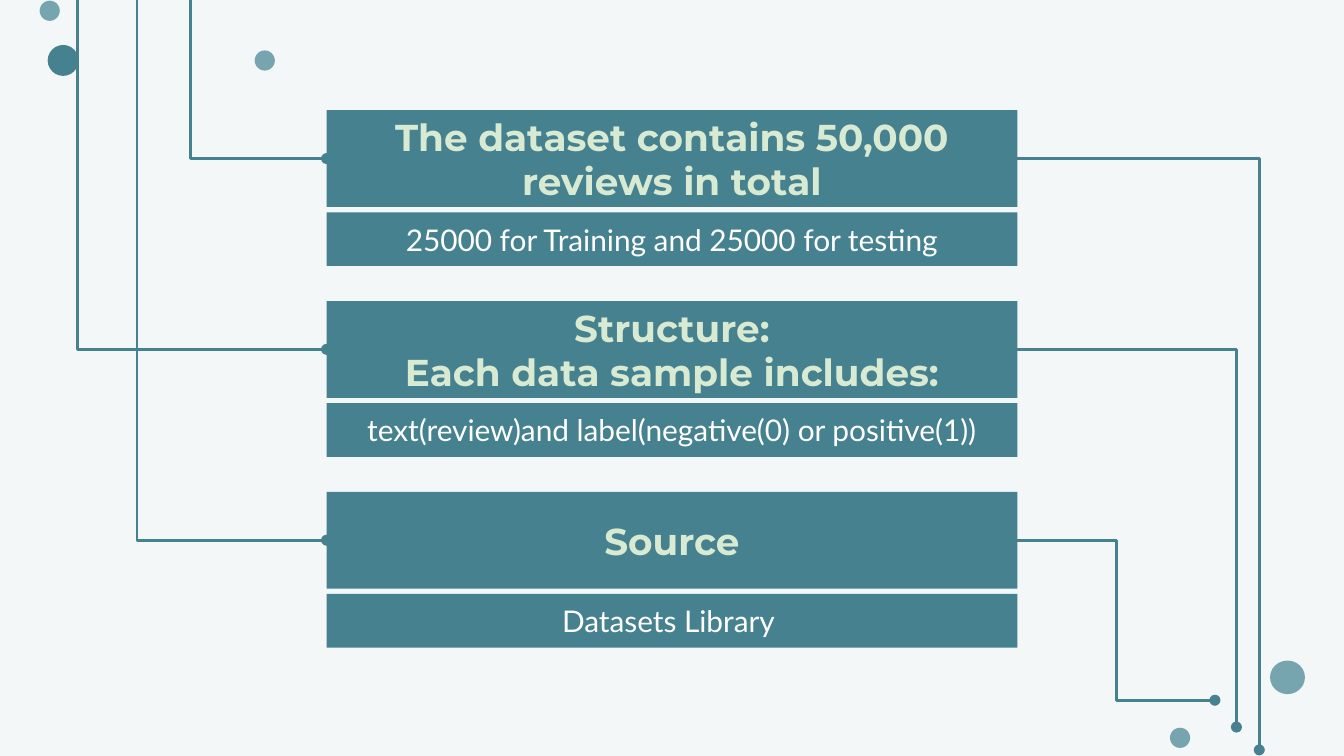
from lxml.etree import SubElement
from pptx import Presentation
from pptx.dml.color import RGBColor
from pptx.enum.shapes import MSO_CONNECTOR as Connector, MSO_SHAPE as Shape
from pptx.enum.text import MSO_ANCHOR as Anchor, MSO_AUTO_SIZE as AutoSize, PP_ALIGN as Align
from pptx.oxml.ns import qn
from pptx.util import Inches, Pt

COLORS = {
    "background": "F3F7F8",
    "teal": "45818E",
    "light_teal": "76A5AF",
    "heading": "D9EAD3",
    "detail": "FFFFFF",
}
SLIDE_WIDTH = 10
SLIDE_HEIGHT = SLIDE_WIDTH * 9 / 16
BOX_LEFT, BOX_WIDTH = 2.43, 5.14
FIRST_TOP, ROW_STEP = 0.82, 1.42
HEADING_HEIGHT, DETAIL_HEIGHT, DETAIL_OFFSET = 0.72, 0.4, 0.76

ROWS = [
    (["The dataset contains 50,000 reviews in total"],
     "25000 for Training and 25000 for testing"),
    (["Structure:", "Each data sample includes:"],
     "text(review)and label(negative(0) or positive(1))"),
    (["Source"], "Datasets Library "),
]
LEFT_LINE_X = [1.42, 0.58, 1.02]
RIGHT_LINES = [
    ("bentConnector2", 9.37, 5.58),
    ("bentConnector2", 9.2, 5.41),
    ("bentConnector3", 9.04, 5.21),
]
DOTS = [
    (8.78, 5.49, 0.15, 0.15, "light_teal"),
    (9.58, 5.04, 0.26, 0.25, "light_teal"),
    (0.47, 0.45, 0.23, 0.23, "teal"),
    (1.97, 0.45, 0.15, 0.15, "light_teal"),
    (0.37, 0.08, 0.15, 0.15, "light_teal"),
]


def color(name):
    return RGBColor.from_string(COLORS[name])


def fill_plain(shape, name):
    shape.fill.solid()
    shape.fill.fore_color.rgb = color(name)
    shape.line.fill.background()


def add_dot(slide, center_x, center_y, width, height, name):
    dot = slide.shapes.add_shape(
        Shape.OVAL, Inches(center_x - width / 2), Inches(center_y - height / 2),
        Inches(width), Inches(height))
    dot.shadow.inherit = False
    fill_plain(dot, name)


def add_rectangle(slide):
    rectangle = slide.shapes.add_shape(Shape.RECTANGLE, 0, 0, 0, 0)
    rectangle.shadow.inherit = False
    return rectangle


def format_box(box, top, height, lines, font_name, size, bold, text_color):
    box.left, box.top = Inches(BOX_LEFT), Inches(top)
    box.width, box.height = Inches(BOX_WIDTH), Inches(height)
    fill_plain(box, "teal")
    frame = box.text_frame
    frame.word_wrap = True
    frame.auto_size = AutoSize.NONE
    frame.vertical_anchor = Anchor.MIDDLE
    frame.margin_left = frame.margin_right = Inches(0.1)
    frame.margin_top = frame.margin_bottom = Inches(0.1)
    paragraph = frame.paragraphs[0]
    paragraph.alignment = Align.CENTER
    for index, line in enumerate(lines):
        if index:
            paragraph.add_line_break()
        run = paragraph.add_run()
        run.text = line
        run.font.name = font_name
        run.font.size = Pt(size)
        run.font.bold = bold
        run.font.color.rgb = color(text_color)


def add_elbow(slide, box, side, preset, end_x, end_y, oval_end):
    start_x = BOX_LEFT if side == 1 else BOX_LEFT + BOX_WIDTH
    start_y = (box.top + box.height // 2) / Inches(1)
    elbow = slide.shapes.add_connector(
        Connector.ELBOW, Inches(start_x), Inches(start_y), Inches(end_x), Inches(end_y))
    elbow.begin_connect(box, side)
    elbow.line.color.rgb = color("teal")
    elbow.line.width = Pt(1.5)
    properties = elbow._element.spPr
    properties.find(qn("a:prstGeom")).set("prst", preset)
    SubElement(properties.find(qn("a:ln")), qn(f"a:{oval_end}"), type="oval")
    SubElement(properties, qn("a:effectLst"))


def main():
    presentation = Presentation()
    presentation.slide_width = Inches(SLIDE_WIDTH)
    presentation.slide_height = Inches(SLIDE_HEIGHT)
    slide = presentation.slides.add_slide(presentation.slide_layouts[5])
    slide.background.fill.solid()
    slide.background.fill.fore_color.rgb = color("background")

    for dot in DOTS:
        add_dot(slide, *dot)

    headings = []
    for row, (heading_lines, detail) in enumerate(ROWS):
        top = FIRST_TOP + row * ROW_STEP
        heading = add_rectangle(slide) if row else slide.shapes.title
        format_box(heading, top, HEADING_HEIGHT, heading_lines,
                   "Montserrat", 20, True, "heading")
        format_box(add_rectangle(slide), top + DETAIL_OFFSET, DETAIL_HEIGHT, [detail],
                   "Lato", 16, False, "detail")
        headings.append(heading)

    for heading, left_x, right_line in zip(headings, LEFT_LINE_X, RIGHT_LINES):
        add_elbow(slide, heading, 1, "bentConnector2", left_x, 0, "headEnd")
        add_elbow(slide, heading, 3, *right_line, "tailEnd")

    presentation.save("out.pptx")


if __name__ == "__main__":
    main()
